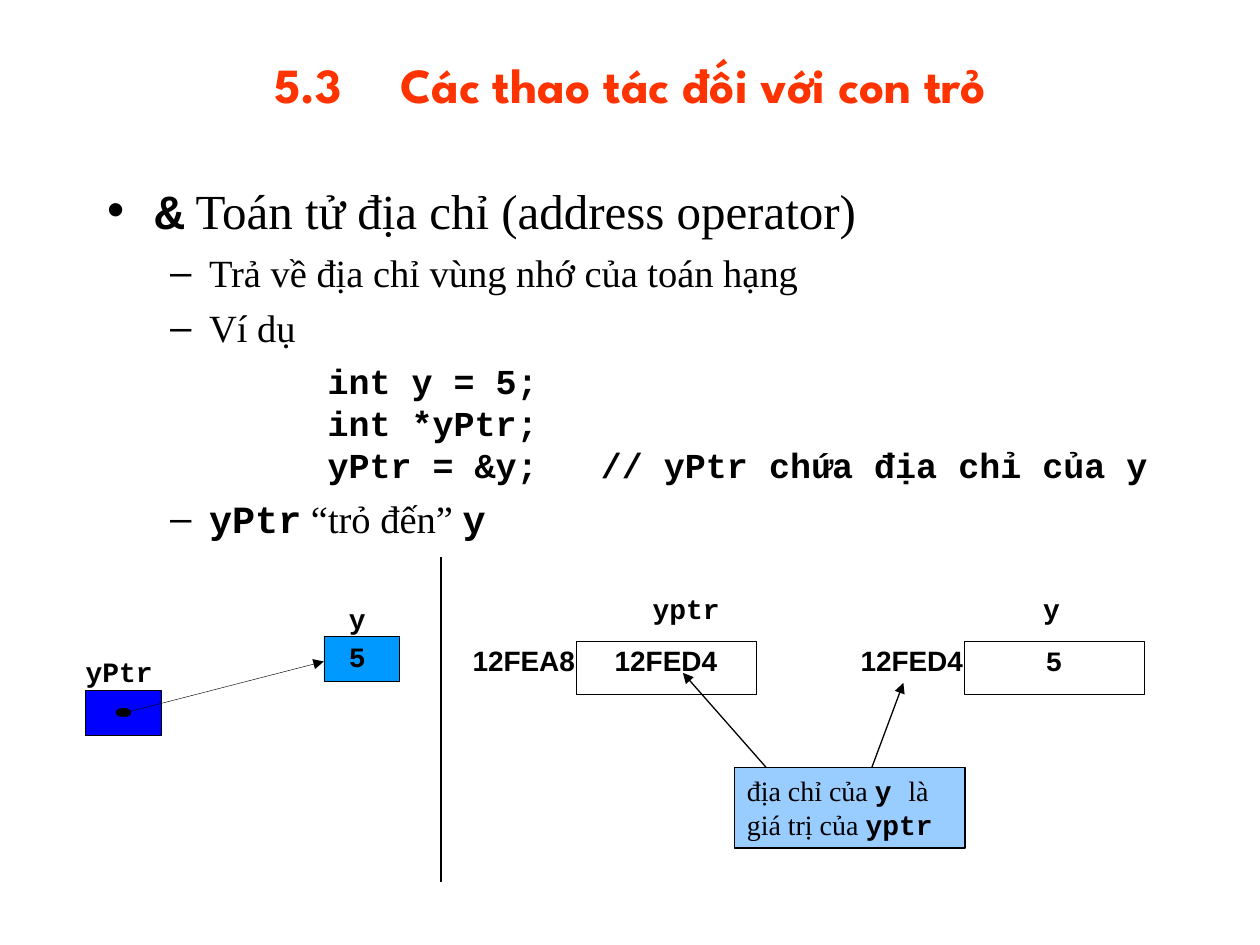
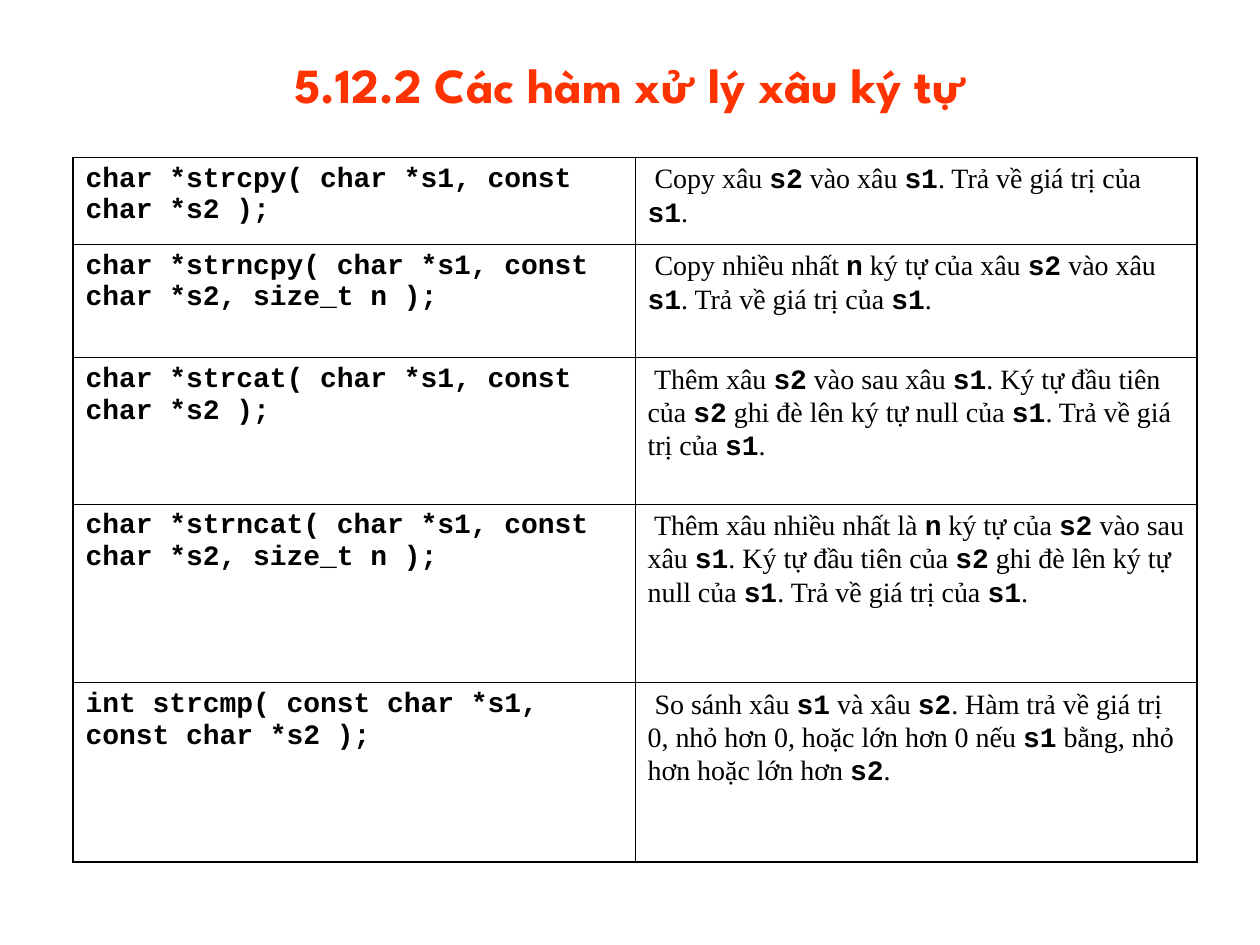
from lxml.etree import SubElement
from pptx import Presentation
from pptx.dml.color import RGBColor
from pptx.enum.shapes import MSO_CONNECTOR, MSO_SHAPE
from pptx.enum.text import MSO_ANCHOR, MSO_AUTO_SIZE, PP_ALIGN
from pptx.oxml.ns import qn
from pptx.util import Inches, Pt

BLACK = RGBColor(0, 0, 0)
RED = RGBColor(0xFF, 0x33, 0x00)
BLUE = RGBColor(0x00, 0x00, 0xFF)
AZURE = RGBColor(0x00, 0x99, 0xFF)
PALE = RGBColor(0x99, 0xCC, 0xFF)
HEAD, SERIF, CODE, SANS = "League Spartan", "Times New Roman", "Courier New", "Arial"
THIN, LINE = 0.25, 0.75

POINTS = [
    (0, "`&` Toán tử địa chỉ (address operator)", 28, SERIF),
    (1, "Trả về địa chỉ vùng nhớ của toán hạng", 22, SERIF),
    (1, "Ví dụ", 22, SERIF),
    (3, "int y = 5;\vint *yPtr;\vyPtr = &y;   // yPtr chứa địa chỉ của y", 20, CODE),
    (1, "`yPtr` “trỏ đến” `y`", 22, SERIF),
]
INDENT = {0: (0.38, -0.38, 7), 1: (0.81, -0.31, 5.5), 3: (1.75, 0, 5)}
ROWS = [
    (0.69, "char *strcpy( char *s1, const char *s2 );",
     " Copy xâu `s2` vào xâu `s1`. Trả về giá trị của `s1`."),
    (0.9, "char *strncpy( char *s1, const char *s2, size_t n );",
     " Copy nhiều nhất `n` ký tự của xâu `s2` vào xâu `s1`. Trả về giá trị của `s1`."),
    (1.16, "char *strcat( char *s1, const char *s2 );",
     " Thêm xâu `s2` vào sau xâu `s1`. Ký tự đầu tiên của `s2` ghi đè lên "
     "ký tự null của `s1`. Trả về giá trị của `s1`."),
    (1.42, "char *strncat( char *s1, const char *s2, size_t n );",
     " Thêm xâu nhiều nhất là `n` ký tự của `s2` vào sau xâu `s1`. Ký tự đầu tiên của `s2` "
     "ghi đè lên ký tự null của `s1`. Trả về giá trị của `s1`."),
    (1.42, "int strcmp( const char *s1, const char *s2 );",
     " So sánh xâu `s1` và xâu `s2`. Hàm trả về giá trị 0, nhỏ hơn 0, hoặc lớn hơn 0 "
     "nếu `s1` bằng, nhỏ hơn hoặc lớn hơn `s2`."),
]


def write(para, text, size, face=SERIF, color=BLACK):
    """Fill a paragraph; parts between backticks are bold code."""
    if "`" in text:
        for i, part in enumerate(text.split("`")):
            if part:
                run = para.add_run()
                run.text = part
                if i % 2:
                    run.font.name, run.font.bold = CODE, True
    else:
        para.text = text
    font = para.font
    font.name, font.size, font.bold = face, Pt(size), face != SERIF
    font.color.rgb = color


def place(shape, left, top, width, height):
    """Move and size a shape, in inches."""
    shape.left, shape.top = Inches(left), Inches(top)
    shape.width, shape.height = Inches(width), Inches(height)


def title(slide, text):
    """Write the slide title."""
    shape = slide.shapes.title
    place(shape, 0.75, 0.08, 8.5, 1.17)
    frame = shape.text_frame
    frame.vertical_anchor = MSO_ANCHOR.MIDDLE
    frame.auto_size = MSO_AUTO_SIZE.NONE
    para = frame.paragraphs[0]
    para.alignment = PP_ALIGN.CENTER
    tabs = SubElement(para._p.get_or_add_pPr(), qn("a:tabLst"))
    for i in range(8):
        SubElement(tabs, qn("a:tab"), pos=str(Inches(i)), algn="l")
    write(para, text, 28, HEAD, RED)


def bullets(shape, left, top, width, height):
    """Write the list into the body placeholder."""
    place(shape, left, top, width, height)
    frame = shape.text_frame
    frame.auto_size = MSO_AUTO_SIZE.NONE
    for i, (level, text, size, face) in enumerate(POINTS):
        para = frame.add_paragraph() if i else frame.paragraphs[0]
        margin, hang, gap = INDENT[level]
        para.level = level
        para.space_before = Pt(gap if i else 0)
        props = para._p.get_or_add_pPr()
        props.set("marL", str(Inches(margin)))
        props.set("indent", str(Inches(hang)))
        if face == CODE:
            SubElement(props, qn("a:buNone"))
        write(para, text, size, face)


def label(slide, text, left, top, width, height=0.21, face=CODE, space=0.72, align=PP_ALIGN.LEFT):
    """Add a small bold label without margins."""
    box = slide.shapes.add_textbox(*map(Inches, (left, top, width, height)))
    frame = box.text_frame
    frame.margin_left = frame.margin_top = frame.margin_right = frame.margin_bottom = 0
    frame.word_wrap = True
    para = frame.paragraphs[0]
    para.alignment, para.line_spacing = align, space
    write(para, text, 16, face)


def block(slide, left, top, width, height, fill=None, weight=THIN, kind=MSO_SHAPE.RECTANGLE):
    """Add an outlined shape, hollow when no fill is given."""
    shape = slide.shapes.add_shape(kind, *map(Inches, (left, top, width, height)))
    shape.shadow.inherit = False
    if fill is None:
        shape.fill.background()
    else:
        shape.fill.solid()
        shape.fill.fore_color.rgb = fill
    shape.line.color.rgb, shape.line.width = BLACK, Pt(weight)
    return shape


def link(slide, x1, y1, x2, y2, weight=LINE, arrow=True):
    """Draw a line, with an arrowhead at its end if asked."""
    line = slide.shapes.add_connector(MSO_CONNECTOR.STRAIGHT, *map(Inches, (x1, y1, x2, y2)))
    line.line.color.rgb, line.line.width = BLACK, Pt(weight)
    if arrow:
        SubElement(line.line._get_or_add_ln(), qn("a:tailEnd"), type="triangle")
    SubElement(line._element.spPr, qn("a:effectLst"))


def pointer(slide, left, top):
    """Draw the pointer box, its target and the arrow between them."""
    far, low = left + 1.89, top + 0.43
    block(slide, left, low, 0.6, 0.36, BLUE)
    block(slide, far, top, 0.6, 0.36, AZURE)
    link(slide, left + 0.3, low + 0.18, far, top + 0.2, THIN)
    block(slide, left + 0.24, low + 0.14, 0.12, 0.07, BLACK, kind=MSO_SHAPE.OVAL)
    label(slide, "yPtr", left, low - 0.22, 0.63)
    label(slide, "y", far + 0.2, top - 0.21, 0.2)
    label(slide, "5", far + 0.2, top + 0.09, 0.2)


def memory(slide, left, top, name, shift, spot, value, face):
    """Draw one memory cell with its address, name and value."""
    edge = left + 0.82
    block(slide, edge, top, 1.43, 0.42)
    label(slide, spot, left, top + 0.07, 0.85, 0.32, SANS, 0.8)
    label(slide, name, edge + shift, top - 0.34, 0.6, 0.32, CODE, 0.8)
    label(slide, value, edge, top + 0.07, 1.43, 0.32, face, 0.8, PP_ALIGN.CENTER)


def callout(slide, left, top):
    """Draw the note and its two arrows."""
    shape = block(slide, left, top, 1.83, 0.64, PALE, LINE)
    frame = shape.text_frame
    frame.word_wrap = True
    frame.vertical_anchor = MSO_ANCHOR.TOP
    para = frame.paragraphs[0]
    para.alignment = PP_ALIGN.LEFT
    write(para, "địa chỉ của `y `là giá trị của `yptr`", 16)
    link(slide, left + 1.09, top, left + 1.34, top - 0.67)
    link(slide, left + 0.25, top, left - 0.41, top - 0.75)


def border(cell, sides):
    """Set the cell borders from pairs of side and width in points."""
    props = cell._tc.get_or_add_tcPr()
    for side, weight in sides:
        line = SubElement(props, qn("a:ln" + side), w=str(Pt(weight)))
        fill = SubElement(line, qn("a:solidFill"))
        SubElement(fill, qn("a:srgbClr"), val=str(BLACK))


def grid(slide, left, top, width):
    """Draw the table of string functions."""
    height = sum(row[0] for row in ROWS)
    frame = slide.shapes.add_table(len(ROWS), 2, *map(Inches, (left, top, width, height)))
    table = frame.table
    table.first_row = table.horz_banding = False
    last = len(ROWS) - 1
    for r, (tall, *texts) in enumerate(ROWS):
        table.rows[r].height = Inches(tall)
        for c, text in enumerate(texts):
            cell = table.cell(r, c)
            outer = (("L", c == 0), ("R", c == 1), ("T", r == 0), ("B", r == last))
            border(cell, [(side, 1.08 if edge else 0.45) for side, edge in outer])
            cell.fill.background()
            write(cell.text_frame.paragraphs[0], text, 16, SERIF if c else CODE)


def address(deck):
    """Build the slide on the address operator."""
    slide = deck.slides.add_slide(deck.slide_layouts[1])
    title(slide, "5.3\tCác thao tác đối với con trỏ")
    bullets(slide.placeholders[1], 0.75, 1.38, 8.5, 5.7)
    pointer(slide, 0.68, 5.05)
    memory(slide, 3.75, 5.09, "yptr", 0.61, "12FEA8", "12FED4", SANS)
    memory(slide, 6.83, 5.09, "y", 0.63, "12FED4", "5", CODE)
    link(slide, 3.5, 4.42, 3.5, 7, arrow=False)
    callout(slide, 5.83, 6.09)


def strings(deck):
    """Build the slide on string functions."""
    slide = deck.slides.add_slide(deck.slide_layouts[5])
    title(slide, "5.12.2 Các hàm xử lý xâu ký tự")
    grid(slide, 0.58, 1.25, 8.92)


def main():
    """Build and save the deck."""
    deck = Presentation()
    deck.slide_width, deck.slide_height = Inches(10), Inches(7.5)
    address(deck)
    strings(deck)
    deck.save("out.pptx")


if __name__ == "__main__":
    main()
